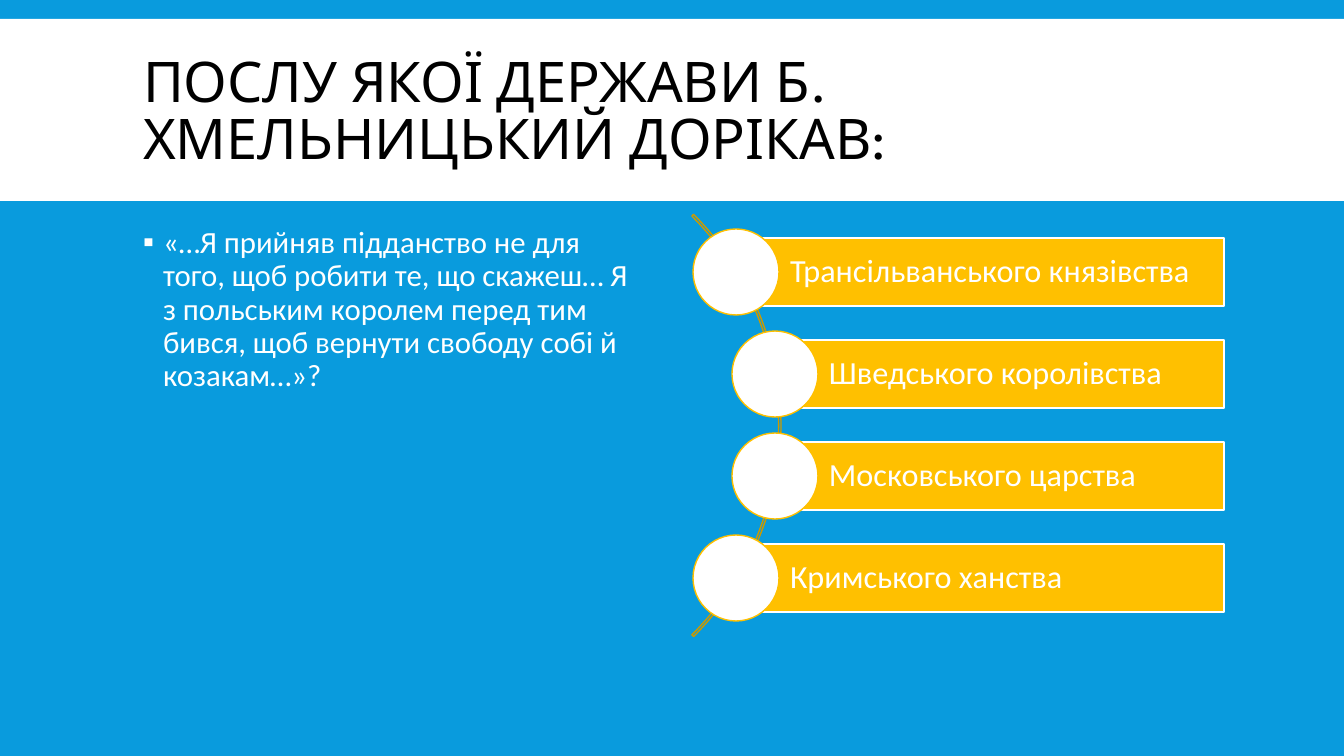
from lxml.etree import SubElement
from pptx import Presentation
from pptx.dml.color import RGBColor
from pptx.enum.shapes import MSO_SHAPE
from pptx.enum.text import MSO_ANCHOR, MSO_AUTO_SIZE, PP_ALIGN
from pptx.oxml.ns import qn
from pptx.util import Pt

SCALE = 914400 / 100.8  # EMU in one px
COLORS = {
    "blue": "099BDD",
    "white": "FFFFFF",
    "black": "000000",
    "gold": "FFC000",
    "dark_gold": "CC9A00",
}
ANSWERS = [
    "Трансільванського князівства",
    "Шведського королівства",
    "Московського царства",
    "Кримського ханства",
]
TITLE_FONT = {"name": "League Spartan", "size": Pt(40)}
QUOTE_FONT = {"name": "Calibri", "size": Pt(22)}
ANSWER_FONT = {"name": "Calibri", "size": Pt(23)}
TITLE_PARAGRAPH = {"line_spacing": 0.85, "alignment": PP_ALIGN.LEFT}
QUOTE_PARAGRAPH = {"line_spacing": 0.9, "space_before": Pt(0), "space_after": Pt(2)}
ANSWER_PARAGRAPH = {"line_spacing": 0.9, "alignment": PP_ALIGN.LEFT}


def px(value):
    return round(value * SCALE)


def color(name):
    return RGBColor.from_string(COLORS[name])


def apply(target, values):
    for name, value in values.items():
        setattr(target, name, value)


def place(shape, box):
    apply(shape, dict(zip(("left", "top", "width", "height"), map(px, box))))


def add_shape(slide, kind, box, fill=None, line=None):
    shape = slide.shapes.add_shape(kind, *map(px, box))
    shape.shadow.inherit = False
    if fill:
        shape.fill.solid()
        shape.fill.fore_color.rgb = color(fill)
    else:
        shape.fill.background()
    if line:
        shape.line.color.rgb = color(line)
        shape.line.width = Pt(1)
    else:
        shape.line.fill.background()
    return shape


def write(shape, text, paragraph_format, font, font_color, anchor):
    frame = shape.text_frame
    apply(frame, {"word_wrap": True, "auto_size": MSO_AUTO_SIZE.NONE,
                  "vertical_anchor": anchor})
    frame.text = text
    paragraph = frame.paragraphs[0]
    apply(paragraph, paragraph_format)
    apply(paragraph.runs[0].font, font)
    paragraph.runs[0].font.color.rgb = color(font_color)
    return paragraph


def add_bullet(paragraph, indent):
    properties = paragraph._p.get_or_add_pPr()
    properties.set("marL", str(px(indent)))
    properties.set("indent", str(-px(indent)))
    bullet_color = SubElement(properties, qn("a:buClr"))
    SubElement(bullet_color, qn("a:srgbClr"), val=COLORS["white"])
    SubElement(properties, qn("a:buFont"), typeface="Calibri")
    SubElement(properties, qn("a:buChar"), char="▪")


def build_header(slide, box):
    left, top, width, height = box
    title = slide.shapes.title
    # White band, kept behind the title
    band = add_shape(slide, MSO_SHAPE.RECTANGLE, box, "white")
    title.element.addprevious(band.element)
    place(title, (left + 133, top + 12, 1079, 166))
    write(title, "ПОСЛУ ЯКОЇ ДЕРЖАВИ Б. ХМЕЛЬНИЦЬКИЙ ДОРІКАВ:",
          TITLE_PARAGRAPH, TITLE_FONT, "black", MSO_ANCHOR.MIDDLE)


def build_quote(slide, box):
    body = slide.placeholders[1]
    place(body, box)
    paragraph = write(
        body,
        "«…Я прийняв підданство не для того, щоб робити те, що скажеш… "
        "Я з польським королем перед тим бився, щоб вернути свободу собі й козакам…»?",
        QUOTE_PARAGRAPH, QUOTE_FONT, "white", MSO_ANCHOR.TOP)
    add_bullet(paragraph, 20)


def build_answers(slide, box):
    left, top, width, height = box
    middle = top + height // 2
    bar_height, pitch, circle, arc_size = 68, 102, 86, 597
    first_top = middle - (pitch * (len(ANSWERS) - 1) + bar_height) // 2

    # Arc through the circles, from 315 to 45 degrees
    arc = add_shape(slide, MSO_SHAPE.BLOCK_ARC,
                    (left - 509, middle - arc_size // 2, arc_size, arc_size),
                    line="dark_gold")
    for index, value in enumerate((189, 27, 0.004)):
        arc.adjustments[index] = value

    # Bars with circles; the inner rows follow the arc to the right
    for index, answer in enumerate(ANSWERS):
        shift = 0 if index in (0, len(ANSWERS) - 1) else 39
        circle_left = left + shift
        bar_left = circle_left + circle // 2
        bar_top = first_top + index * pitch
        bar = add_shape(slide, MSO_SHAPE.RECTANGLE,
                        (bar_left, bar_top, left + width - bar_left, bar_height),
                        "gold", "white")
        apply(bar.text_frame, {"margin_left": px(54), "margin_right": px(6),
                               "margin_top": px(6), "margin_bottom": px(6)})
        write(bar, answer, ANSWER_PARAGRAPH, ANSWER_FONT, "white", MSO_ANCHOR.MIDDLE)
        add_shape(slide, MSO_SHAPE.OVAL,
                  (circle_left, bar_top - (circle - bar_height) // 2, circle, circle),
                  "white", "gold")


def main():
    presentation = Presentation()
    presentation.slide_width = px(1344)
    presentation.slide_height = px(756)
    slide = presentation.slides.add_slide(presentation.slide_layouts[1])
    slide.background.fill.solid()
    slide.background.fill.fore_color.rgb = color("blue")
    build_header(slide, (0, 19, 1344, 182))
    build_quote(slide, (133, 222, 524, 464))
    build_answers(slide, (693, 214, 531, 422))
    presentation.save("out.pptx")


if __name__ == "__main__":
    main()
